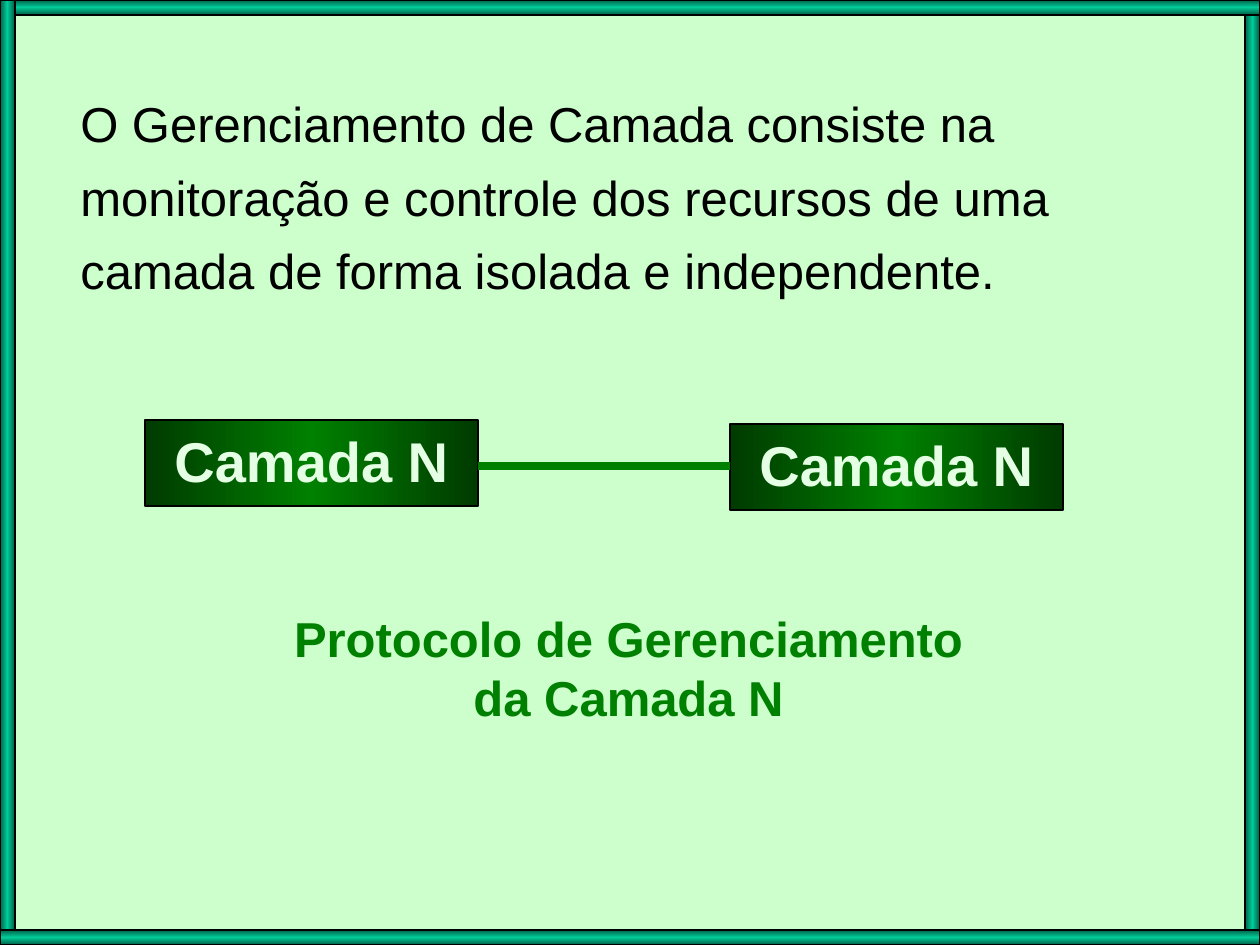
from copy import deepcopy

from lxml.etree import SubElement
from pptx import Presentation
from pptx.dml.color import RGBColor
from pptx.enum.shapes import MSO_CONNECTOR, MSO_SHAPE
from pptx.enum.text import MSO_ANCHOR, PP_ALIGN
from pptx.oxml.ns import qn
from pptx.util import Emu, Pt

COLORS = {
    "background": "CCFFCC",
    "black": "000000",
    "green": "008000",
    "dark green": "003B00",
    "pale green": "E5FFE5",
    "teal": "00CC99",
    "dark teal": "005E46",
}
WIDTH, HEIGHT = 1260, 945


def px(value):
    return Emu(round(value * 914400 / 126))


def write(box, text, size=28, color="black", bold=False, align=PP_ALIGN.LEFT, spacing=1.0):
    frame = box.text_frame
    frame.word_wrap = True
    frame.vertical_anchor = MSO_ANCHOR.TOP
    para = frame.paragraphs[0]
    para.alignment = align
    para.line_spacing = spacing
    span = para.add_run()
    span.text = text
    span.font.name = "Arial"
    span.font.size = Pt(size)
    span.font.bold = bold
    span.font.color.rgb = RGBColor.from_string(COLORS[color])


deck = Presentation()
deck.slide_width, deck.slide_height = px(WIDTH), px(HEIGHT)
page = deck.slides.add_slide(deck.slide_layouts[6])
page.background.fill.solid()
page.background.fill.fore_color.rgb = RGBColor.from_string(COLORS["background"])

# Introductory sentence
intro = page.shapes.add_textbox(px(68), px(73), px(1158), px(233))
write(intro, "O Gerenciamento de Camada consiste na monitoração e controle "
             "dos recursos de uma camada de forma isolada e independente.", spacing=1.25)

# Layer boxes and frame bars: left, top, width, height, edge, middle, angle, line, label
bar = 15
bars = [
    (WIDTH - bar, 0, bar, HEIGHT, 0),
    (0, 0, WIDTH, bar, 90),
    (0, 0, bar, HEIGHT, 0),
    (0, HEIGHT - bar, WIDTH, bar, 90),
]
blocks = [(left, top, 333, 86, "dark green", "green", 0, 1.5, "Camada N")
          for left, top in ((145, 420), (730, 424))]
blocks += [(left, top, width, height, "dark teal", "teal", angle, 0.75, "")
           for left, top, width, height, angle in bars]

for left, top, width, height, edge, middle, angle, line, label in blocks:
    box = page.shapes.add_shape(MSO_SHAPE.RECTANGLE, px(left), px(top), px(width), px(height))
    box.shadow.inherit = False
    box.line.color.rgb = RGBColor.from_string(COLORS["black"])
    box.line.width = Pt(line)
    box.fill.gradient()
    box.fill.gradient_angle = angle
    # A third stop in the middle of the gradient
    stops = box._element.spPr.find(qn("a:gradFill")).find(qn("a:gsLst"))
    center = deepcopy(stops[0])
    center.set("pos", "50000")
    stops.insert(1, center)
    for stop, color in zip(box.fill.gradient_stops, (edge, middle, edge)):
        stop.color.rgb = RGBColor.from_string(COLORS[color])
    if label:
        write(box, label, size=32, color="pale green", bold=True, align=PP_ALIGN.CENTER)

# Link between the layers
link = page.shapes.add_connector(MSO_CONNECTOR.STRAIGHT, px(478), px(466), px(730), px(466))
link.line.color.rgb = RGBColor.from_string(COLORS["green"])
link.line.width = Pt(4.5)
SubElement(link._element.spPr, qn("a:effectLst"))

# Protocol caption
caption = page.shapes.add_textbox(px(275), px(602), px(707), px(168))
write(caption, "Protocolo de Gerenciamento da Camada N",
      color="green", bold=True, align=PP_ALIGN.CENTER)

deck.save("out.pptx")
